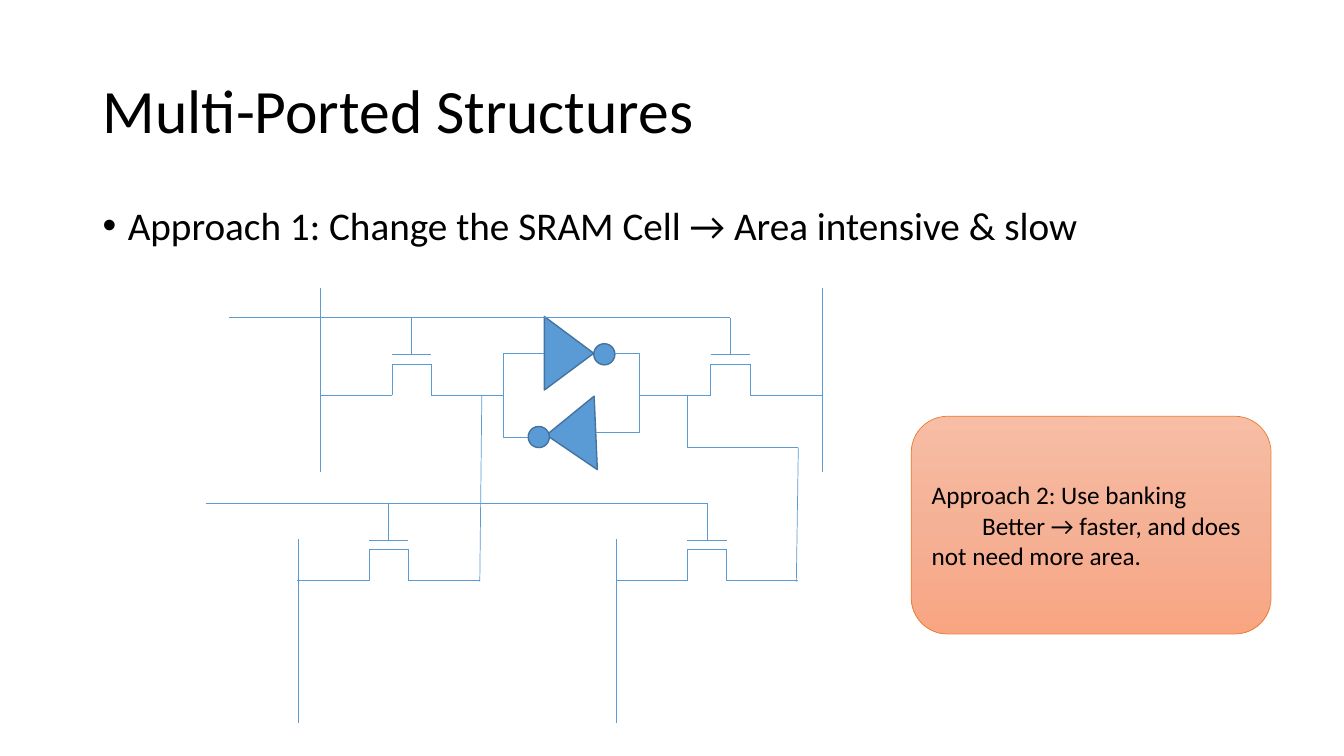
from copy import deepcopy

from lxml import etree
from pptx import Presentation
from pptx import util as u
from pptx.dml.color import RGBColor
from pptx.enum import shapes, text
from pptx.oxml.ns import qn

FONT = "Calibri"
COLORS = {
    "ink": "000000",
    "wire": "5B9BD5",
    "gate": "5B9BD5",
    "gate edge": "43739E",
    "note edge": "ED7D31",
}
NOTE_GRADIENT = [(0, "F7BDA5"), (0.5, "F5B196"), (1, "F8A582")]

# Every length counts grid cells, ten to the inch.
SLIDE_COLS, SLIDE_ROWS = 133.33, 75
PORT_PITCH = 31.6
CHANNEL = 3.9
LEAD = 7.1
GATE_DROP, CHANNEL_DROP, LEAD_DROP = 3.7, 4.6, 7.7
WORD_LINE_LEAD = 16.2
BIT_LINE_LENGTH = 18.2


def cells(*counts):
    return [u.Inches(count / 10) for count in counts]


def color(name):
    return RGBColor.from_string(COLORS[name])


def style_text(paragraph, size):
    for run in paragraph.runs:
        run.font.name = FONT
        run.font.size = u.Pt(size)
        run.font.color.rgb = color("ink")


def add_text(slide, box, words, size, anchor, bullet=False):
    frame = slide.shapes.add_textbox(*cells(*box)).text_frame
    frame.word_wrap = True
    frame.vertical_anchor = anchor
    frame.text = words
    paragraph = frame.paragraphs[0]
    paragraph.line_spacing = 0.9
    if bullet:
        properties = paragraph._p.get_or_add_pPr()
        properties.set("marL", str(u.Inches(0.25)))
        properties.set("indent", str(u.Inches(-0.25)))
        etree.SubElement(properties, qn("a:buFont")).set("typeface", "Arial")
        etree.SubElement(properties, qn("a:buChar")).set("char", "•")
    style_text(paragraph, size)


def add_wire(slide, start, end, bend=None):
    """Draw a straight wire, or an elbow whose bend is a share of its width."""
    kind = shapes.MSO_CONNECTOR.STRAIGHT if bend is None else shapes.MSO_CONNECTOR.ELBOW
    wire = slide.shapes.add_connector(kind, *cells(*start, *end))
    wire.line.color.rgb = color("wire")
    wire.line.width = u.Pt(0.5)
    properties = wire._element.spPr
    etree.SubElement(properties, qn("a:effectLst"))
    if bend is not None:
        guides = properties.find(qn("a:prstGeom")).find(qn("a:avLst"))
        guide = etree.SubElement(guides, qn("a:gd"))
        guide.set("name", "adj1")
        guide.set("fmla", f"val {round(bend * 100000)}")


def add_gate_part(slide, kind, box, rotation):
    part = slide.shapes.add_shape(kind, *cells(*box))
    part.shadow.inherit = False
    part.rotation = rotation
    part.fill.solid()
    part.fill.fore_color.rgb = color("gate")
    part.line.color.rgb = color("gate edge")
    part.line.width = u.Pt(1)


def add_inverter(slide, triangle, bubble, rotation, bubble_rotation):
    add_gate_part(slide, shapes.MSO_SHAPE.ISOSCELES_TRIANGLE, (*triangle, 7.3, 4.9), rotation)
    add_gate_part(slide, shapes.MSO_SHAPE.OVAL, (*bubble, 2.1, 2.1), bubble_rotation)


def add_transistor(slide, left, word_line):
    right, middle = left + CHANNEL, left + CHANNEL / 2
    plate, channel, lead = (word_line + drop for drop in (GATE_DROP, CHANNEL_DROP, LEAD_DROP))
    for start, end in [
        ((left - LEAD, lead), (left, lead)),
        ((left, lead), (left, channel)),
        ((left, channel), (right, channel)),
        ((right, channel), (right, lead)),
        ((right, lead), (right + LEAD, lead)),
        ((left, plate), (right, plate)),
        ((middle, word_line), (middle, plate)),
    ]:
        add_wire(slide, start, end)


def add_port(slide, left, word_line, bit_lines, bit_top):
    """Draw two access transistors with their word line and bit lines."""
    for index in range(2):
        add_transistor(slide, left + index * PORT_PITCH, word_line)
    word_end = left + PORT_PITCH + CHANNEL / 2
    add_wire(slide, (left - WORD_LINE_LEAD, word_line), (word_end, word_line))
    for column in bit_lines:
        add_wire(slide, (column, bit_top), (column, bit_top + BIT_LINE_LENGTH))


def add_note(slide, box, lines):
    note = slide.shapes.add_shape(shapes.MSO_SHAPE.ROUNDED_RECTANGLE, *cells(*box))
    note.shadow.inherit = False
    note.fill.gradient()
    note.fill.gradient_angle = 270
    stop_list = note._element.spPr.find(qn("a:gradFill")).find(qn("a:gsLst"))
    stop_list.append(deepcopy(stop_list[0]))
    for stop, (position, shade) in zip(note.fill.gradient_stops, NOTE_GRADIENT):
        stop.position = position
        stop.color.rgb = RGBColor.from_string(shade)
    note.line.color.rgb = color("note edge")
    note.line.width = u.Pt(0.5)
    frame = note.text_frame
    frame.word_wrap = True
    frame.vertical_anchor = text.MSO_ANCHOR.MIDDLE
    frame.text = "\n".join(lines)
    for paragraph in frame.paragraphs:
        paragraph.alignment = text.PP_ALIGN.LEFT
        style_text(paragraph, 18)


def main():
    deck = Presentation()
    deck.slide_width, deck.slide_height = cells(SLIDE_COLS, SLIDE_ROWS)
    slide = deck.slides.add_slide(deck.slide_layouts[6])

    add_text(slide, (9.2, 4, 115, 14.5), "Multi-Ported Structures", 44,
             text.MSO_ANCHOR.MIDDLE)
    add_text(slide, (9.2, 20, 115, 6.1),
             "Approach 1: Change the SRAM Cell → Area intensive & slow", 28,
             text.MSO_ANCHOR.TOP, bullet=True)

    add_inverter(slide, (52.8, 32.6), (58.9, 34.1), 90, 0)
    add_inverter(slide, (53, 40.6), (52.4, 42.3), 267.5, 177.5)
    add_wire(slide, (52.4, 43.4), (54, 35.1), bend=-1.52)
    add_wire(slide, (61, 35.1), (59.1, 42.9), bend=-1.3)

    add_port(slide, 38.9, 31.5, bit_lines=(31.8, 81.6), bit_top=28.6)
    add_port(slide, 36.6, 49.9, bit_lines=(29.6, 61.1), bit_top=53.5)
    for start, end in [
        ((47.8, 39.2), (47.6, 57.7)),
        ((68.2, 39.2), (68.2, 44.4)),
        ((68.2, 44.4), (79.2, 44.4)),
        ((79.2, 44.4), (79, 57.7)),
    ]:
        add_wire(slide, start, end)

    add_note(slide, (90.4, 41.3, 35.7, 21.6), [
        "Approach 2: Use banking",
        "\tBetter → faster, and does not need more area.",
    ])
    deck.save("out.pptx")


if __name__ == "__main__":
    main()
